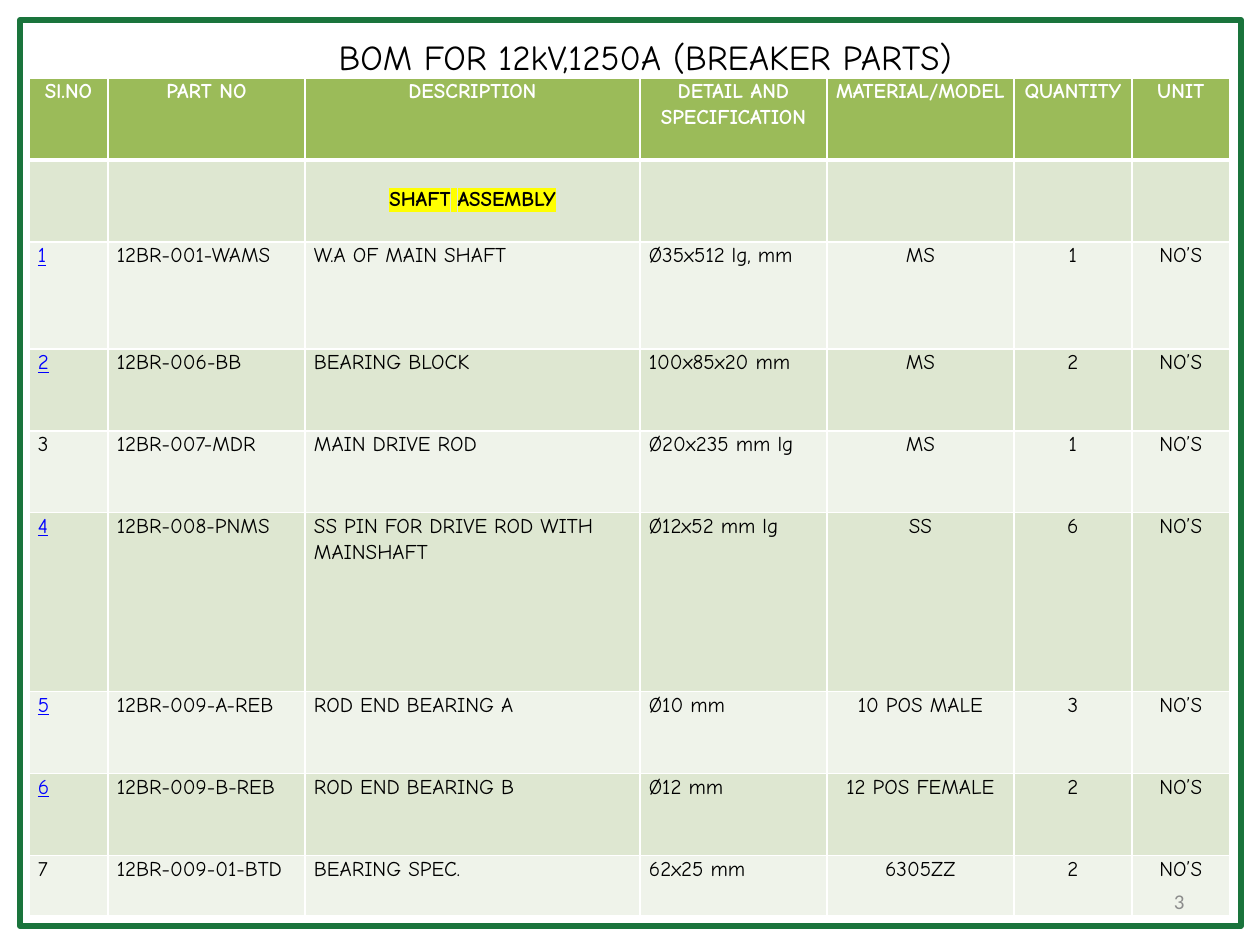
from lxml.etree import SubElement
from pptx import Presentation
from pptx.dml.color import RGBColor
from pptx.enum.shapes import MSO_SHAPE as Shape
from pptx.enum.text import MSO_ANCHOR as Anchor, MSO_AUTO_SIZE as AutoSize, PP_ALIGN as Align
from pptx.oxml.ns import qn
from pptx.util import Pt

PX = 914400 // 126

BLACK, WHITE, BLUE = "000000", "FFFFFF", "0000FF"
GREEN, HEADER = "1A743C", "9BBB59"
BANDS = ["DEE7D1", "EFF3EA"]
YELLOW, GRAY = "FFFF00", "8C8C8C"

COLUMN_WIDTHS = [79, 197, 335, 187, 187, 118, 98]
ROW_HEIGHTS = [82, 82, 107, 82, 82, 179, 82, 82, 60]
HEADINGS = ["Sl.NO", "PART NO", "DESCRIPTION", "DETAIL AND SPECIFICATION",
            "MATERIAL/MODEL", "QUANTITY", "UNIT"]
PARTS = [
    ("12BR-001-WAMS", "W.A OF MAIN SHAFT", "Ø35x512 lg, mm", "MS", "1"),
    ("12BR-006-BB", "BEARING BLOCK", "100x85x20 mm", "MS", "2"),
    ("12BR-007-MDR", "MAIN DRIVE ROD", "Ø20x235 mm lg", "MS", "1"),
    ("12BR-008-PNMS", "SS PIN FOR DRIVE ROD WITH MAINSHAFT", "Ø12x52 mm lg", "SS", "6"),
    ("12BR-009-A-REB", "ROD END BEARING A", "Ø10 mm", "10 POS MALE", "3"),
    ("12BR-009-B-REB", "ROD END BEARING B", "Ø12 mm", "12 POS FEMALE", "2"),
    ("12BR-009-01-BTD", "BEARING SPEC.", "62x25 mm", "6305ZZ", "2"),
]
UNLINKED = {3, 7}


def px(value):
    return value * PX


def rgb(value):
    return RGBColor.from_string(value)


def add_run(paragraph, text, size=12, font="Comic Neue", color=BLACK,
            bold=False, underline=False, highlight=None):
    run = paragraph.add_run()
    run.text = text
    run.font.size = Pt(size)
    run.font.bold = bold
    run.font.underline = underline
    run.font.color.rgb = rgb(color)
    if highlight:
        mark = SubElement(run.font._element, qn("a:highlight"))
        SubElement(mark, qn("a:srgbClr"), val=highlight)
    run.font.name = font


class SlideBuilder:
    """Holds the slide and the style shared by its elements."""

    def __init__(self, slide):
        self.slide = slide
        self.side_margin = 9
        self.line_spacing = 1.07
        self.hanging = 48

    def frame(self, left, top, width, height):
        shape = self.slide.shapes.add_shape(
            Shape.RECTANGLE, px(left), px(top), px(width), px(height))
        shape.shadow.inherit = False
        shape.fill.background()
        shape.line.color.rgb = rgb(GREEN)
        shape.line.width = Pt(3.5)
        SubElement(shape._element.spPr.find(qn("a:ln")), qn("a:round"))

    def title(self, text, left, top, width, height):
        shape = self.slide.shapes.title
        shape.left, shape.top = px(left), px(top)
        shape.width, shape.height = px(width), px(height)
        self.fill_text(shape.text_frame, text, Anchor.TOP, Align.CENTER, size=20)

    def label(self, text, left, top, width, height, **style):
        shape = self.slide.shapes.add_textbox(px(left), px(top), px(width), px(height))
        self.fill_text(shape.text_frame, text, Anchor.MIDDLE, Align.RIGHT, **style)

    def fill_text(self, frame, text, anchor, align, **style):
        frame.word_wrap = True
        frame.auto_size = AutoSize.NONE
        frame.vertical_anchor = anchor
        paragraph = frame.paragraphs[0]
        paragraph.alignment = align
        add_run(paragraph, text, **style)

    def table(self, left, top, widths, heights):
        table = self.slide.shapes.add_table(
            len(heights), len(widths), px(left), px(top),
            px(sum(widths)), px(sum(heights))).table
        for column, width in zip(table.columns, widths):
            column.width = px(width)
        for row, height in zip(table.rows, heights):
            row.height = px(height)
        for index, row in enumerate(table.rows):
            for cell in row.cells:
                self.cell_look(cell, is_header=index == 0,
                               fill=BANDS[(index - 1) % 2] if index else HEADER,
                               top_width=3 if index == 1 else 1)
        return table

    def cell_look(self, cell, is_header, fill, top_width):
        cell.margin_left = cell.margin_right = px(self.side_margin)
        cell.margin_top = cell.margin_bottom = 0
        properties = cell._tc.get_or_add_tcPr()
        widths = {"L": 1, "R": 1, "T": top_width, "B": 3 if is_header else 1}
        for side, width in widths.items():
            line = SubElement(properties, qn("a:ln" + side), w=str(Pt(width)))
            color = SubElement(line, qn("a:solidFill"))
            SubElement(color, qn("a:srgbClr"), val=WHITE)
        cell.fill.solid()
        cell.fill.fore_color.rgb = rgb(fill)

    def cell_text(self, cell, runs, align=Align.LEFT, hanging=False):
        paragraph = cell.text_frame.paragraphs[0]
        paragraph.alignment = align
        paragraph.line_spacing = self.line_spacing
        if hanging:
            properties = paragraph._p.get_or_add_pPr()
            properties.set("marL", str(px(self.hanging)))
            properties.set("indent", str(-px(self.hanging)))
        for text, style in runs:
            add_run(paragraph, text, **style)


def main():
    presentation = Presentation()
    presentation.slide_width, presentation.slide_height = px(1260), px(945)
    builder = SlideBuilder(presentation.slides.add_slide(presentation.slide_layouts[5]))

    # Page frame and title
    builder.frame(20, 20, 1221, 906)
    builder.title("BOM FOR 12kV,1250A (BREAKER PARTS)", 40, 29, 1211, 55)

    # Table header
    table = builder.table(29, 78, COLUMN_WIDTHS, ROW_HEIGHTS)
    for column, heading in enumerate(HEADINGS):
        builder.cell_text(table.cell(0, column),
                          [(heading, dict(color=WHITE, bold=True))], Align.CENTER)

    # Section heading, one line below the top of its row
    section = table.cell(1, 2)
    section.margin_top = px(26)
    builder.cell_text(section, [
        ("SHAFT", dict(bold=True, highlight=YELLOW)),
        (" ", dict(highlight=YELLOW)),
        ("ASSEMBLY", dict(bold=True, highlight=YELLOW)),
    ], Align.CENTER)

    # Part rows
    for number, part in enumerate(PARTS, start=1):
        row = number + 1
        style = {} if number in UNLINKED else dict(color=BLUE, underline=True)
        builder.cell_text(table.cell(row, 0), [(str(number), style)], hanging=True)
        for column, text in enumerate((*part, "NO’S"), start=1):
            align = Align.CENTER if column >= 4 else Align.LEFT
            builder.cell_text(table.cell(row, column), [(text, {})], align)

    # Page number
    builder.label("3", 903, 876, 294, 50, font="Calibri", color=GRAY)

    presentation.save("out.pptx")


if __name__ == "__main__":
    main()
